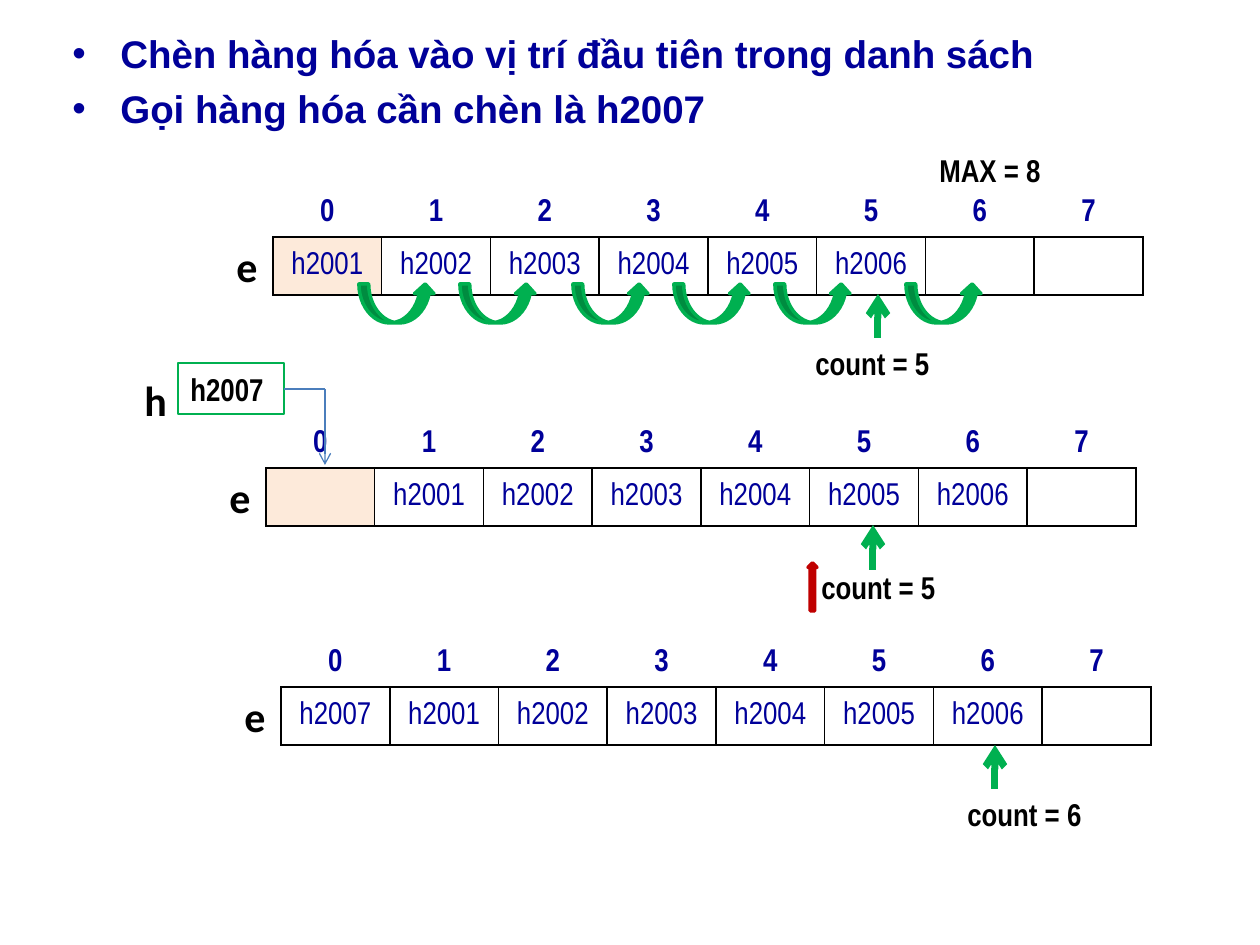
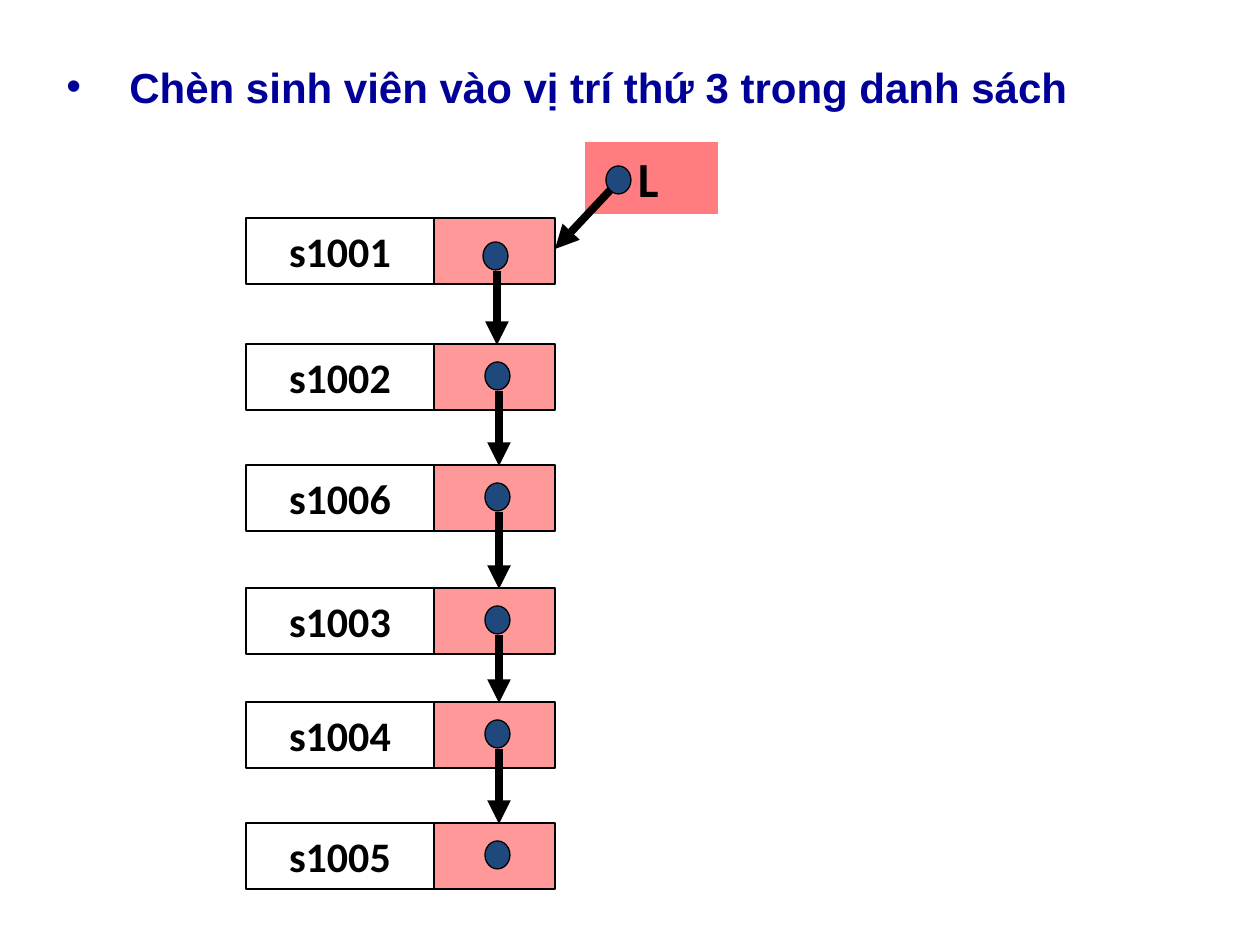
"""Build two slides that show insertion into an array list and into a linked list."""
from itertools import zip_longest
from lxml.etree import SubElement as Sub
from pptx import Presentation
from pptx.dml.color import RGBColor
from pptx.enum.shapes import MSO_CONNECTOR as Link, MSO_SHAPE as Form
from pptx.enum.text import MSO_ANCHOR as Anchor, PP_ALIGN as Align
from pptx.oxml import parse_xml
from pptx.oxml.ns import nsdecls, qn
from pptx.util import Pt

NAVY, BLACK, WHITE, PEACH = "000099", "000000", "FFFFFF", "FDEADA"
GREEN, DARK, BLUE, RED = "00B050", "C00000", "4B7EBC", "FF0000"
ROSE, DOT = "FF7C80", "1F497D"
NARROW, CALIBRI, ARIAL = "Arial Narrow", "Calibri", "Arial"

HEADS = [
    dict(lines=["Chèn hàng hóa vào vị trí đầu tiên trong danh sách",
                "Gọi hàng hóa cần chèn là h2007"],
         box=(60, 24, 1056, 121), size=22, hang=48, gap=5),
    dict(lines=["Chèn sinh viên vào vị trí thứ 3 trong danh sách"],
         box=(54, 55, 1160, 79), size=24, hang=63, gap=12),
]
SLOTS, WIDE, ROWS = 8, 870, (48, 58)
GOODS = ["h2001", "h2002", "h2003", "h2004", "h2005", "h2006"]
ARRAYS = [
    dict(at=(273, 189), items=GOODS, first=PEACH),
    dict(at=(266, 420), items=["", *GOODS], first=PEACH),
    dict(at=(281, 639), items=["h2007", *GOODS], first=WHITE),
]
NOTES = [("MAX = 8", 927, 145), ("count = 5", 803, 338),
         ("count = 5", 809, 562), ("count = 6", 955, 789)]
COUNTS = [(878, 338, 294), (873, 570, 525), (995, 789, 745)]
SHIFTS = [359, 460, 573, 674, 775, 906]
NODES = [("s1001", 218), ("s1002", 344), ("s1006", 465),
         ("s1003", 588), ("s1004", 702), ("s1005", 823)]


def px(n):
    return round(n * 914400 / 126)


def rgb(code):
    return RGBColor.from_string(code)


def style(para, size, font, color=BLACK, bold=True, align=Align.LEFT):
    para.alignment = align
    for run in para.runs:
        face = run.font
        face.size, face.name, face.bold = Pt(size), font, bold
        face.color.rgb = rgb(color)


def write(frame, text, size, font, align=Align.LEFT):
    frame.text = text
    style(frame.paragraphs[0], size, font, align=align)


def label(shapes, text, x, y, w, h, size, font):
    box = shapes.add_textbox(*map(px, (x, y, w, h)))
    box.text_frame.word_wrap = True
    write(box.text_frame, text, size, font)


def shape(shapes, form, box, fill=None, line=None, width=0.75, alpha=None):
    item = shapes.add_shape(form, *map(px, box))
    item.shadow.inherit = False
    if fill:
        item.fill.solid()
        item.fill.fore_color.rgb = rgb(fill)
    else:
        item.fill.background()
    if alpha:
        tint = item.fill._xPr.find(qn("a:solidFill"))[0]
        Sub(tint, qn("a:alpha"), val=str(alpha * 1000))
    if line:
        item.line.color.rgb = rgb(line)
        item.line.width = Pt(width)
    else:
        item.line.fill.background()
    return item


def arrow(shapes, start, end, color, width, tip=None):
    line = shapes.add_connector(Link.STRAIGHT, *map(px, (*start, *end)))
    line.line.color.rgb = rgb(color)
    line.line.width = Pt(width)
    if tip:
        Sub(line.line._get_or_add_ln(), qn("a:tailEnd"), type=tip)
    Sub(line._element.spPr, qn("a:effectLst"))


def head(slide, lines, box, size, hang, gap):
    frame = slide.shapes.add_textbox(*map(px, box)).text_frame
    frame.word_wrap = True
    frame.text = "\n".join(lines)
    for para in frame.paragraphs:
        style(para, size, ARIAL, NAVY, align=Align.JUSTIFY)
        para.space_before = Pt(gap)
        props = para._p.get_or_add_pPr()
        props.set("marL", str(px(hang)))
        props.set("indent", str(-px(hang)))
        Sub(props, qn("a:buFont"), typeface=ARIAL)
        Sub(props, qn("a:buChar"), char="•")


def border(cell, sides):
    props = cell._tc.get_or_add_tcPr()
    for i, side in enumerate(sides):
        props.insert(i, parse_xml(
            f'<a:ln{side} {nsdecls("a")} w="12700"><a:solidFill>'
            f'<a:srgbClr val="{BLACK}"/></a:solidFill></a:ln{side}>'))


def fill_cell(cell, text, fill, bold, sides):
    cell.fill.solid()
    cell.fill.fore_color.rgb = rgb(fill)
    cell.margin_left = cell.margin_right = px(9)
    cell.margin_top = cell.margin_bottom = px(5)
    cell.vertical_anchor = Anchor.MIDDLE
    if text:
        cell.text = text
        style(cell.text_frame.paragraphs[0], 18, NARROW, NAVY, bold, Align.CENTER)
    border(cell, sides)


def array(shapes, at, items, first):
    x, y = at
    grid = shapes.add_table(2, SLOTS, *map(px, (x, y, WIDE, sum(ROWS)))).table
    grid.first_row = grid.horz_banding = False
    for row, high in zip(grid.rows, ROWS):
        row.height = px(high)
    for i, (_, item) in enumerate(zip_longest(range(SLOTS), items, fillvalue="")):
        grid.columns[i].width = px(WIDE / SLOTS)
        fill_cell(grid.cell(0, i), str(i), WHITE, True, "B")
        fill_cell(grid.cell(1, i), item, WHITE if i else first, False, "LRTB")
    label(shapes, "e", x - 49, y + 45, 38, 63, 24, CALIBRI)


def dot(shapes, x, y):
    shape(shapes, Form.OVAL, (x, y, 25, 28), DOT, BLACK)


def node(shapes, name, top, first, below):
    group = shapes.add_group_shape().shapes
    data = shape(group, Form.RECTANGLE, (246, top, 188, 66), WHITE, BLACK, alpha=38)
    write(data.text_frame, name, 24, CALIBRI, Align.CENTER)
    shape(group, Form.RECTANGLE, (434, top, 121, 66), RED, BLACK, alpha=40)
    x, y = (483, top + 24) if first else (485, top + 18)
    dot(group, x, y)
    if below:
        arrow(group, (x + 14, y + 29), (x + 14, below + 1), BLACK, 4.5, "triangle")


def insert_first(slide):
    shapes = slide.shapes
    for spec in ARRAYS:
        array(shapes, **spec)
    for text, x, y in NOTES:
        label(shapes, text, x, y, 151, 50, 18, NARROW)
    for x, low, high in COUNTS:
        arrow(shapes, (x, low), (x, high), GREEN, 4, "arrow")
    for x in SHIFTS:
        shape(shapes, Form.CURVED_UP_ARROW, (x, 284, 76, 39), GREEN, GREEN, 2)
    shape(shapes, Form.UP_ARROW, (808, 563, 9, 48), DARK, DARK, 2)
    label(shapes, "h", 132, 368, 38, 63, 24, CALIBRI)
    fresh = shape(shapes, Form.RECTANGLE, (178, 363, 106, 51), line=GREEN)
    write(fresh.text_frame, "h2007", 18, NARROW)
    arrow(shapes, (284, 389), (325, 389), BLUE, 0.75)
    arrow(shapes, (325, 389), (325, 465), BLUE, 0.75, "arrow")


def insert_third(slide):
    tops = [top for _, top in NODES]
    for i, ((name, top), below) in enumerate(zip_longest(NODES, tops[1:])):
        node(slide.shapes, name, top, i == 0, below)
    start = slide.shapes.add_group_shape().shapes
    root = shape(start, Form.RECTANGLE, (585, 142, 133, 72), ROSE)
    root.text_frame.margin_left = px(53)
    write(root.text_frame, "L", 28, CALIBRI)
    arrow(start, (616, 184), (555, 249), BLACK, 4.5, "triangle")
    dot(start, 606, 166)


deck = Presentation()
deck.slide_width, deck.slide_height = px(1260), px(945)
for text, draw in zip(HEADS, (insert_first, insert_third)):
    page = deck.slides.add_slide(deck.slide_layouts[6])
    head(page, **text)
    draw(page)
deck.save("out.pptx")
